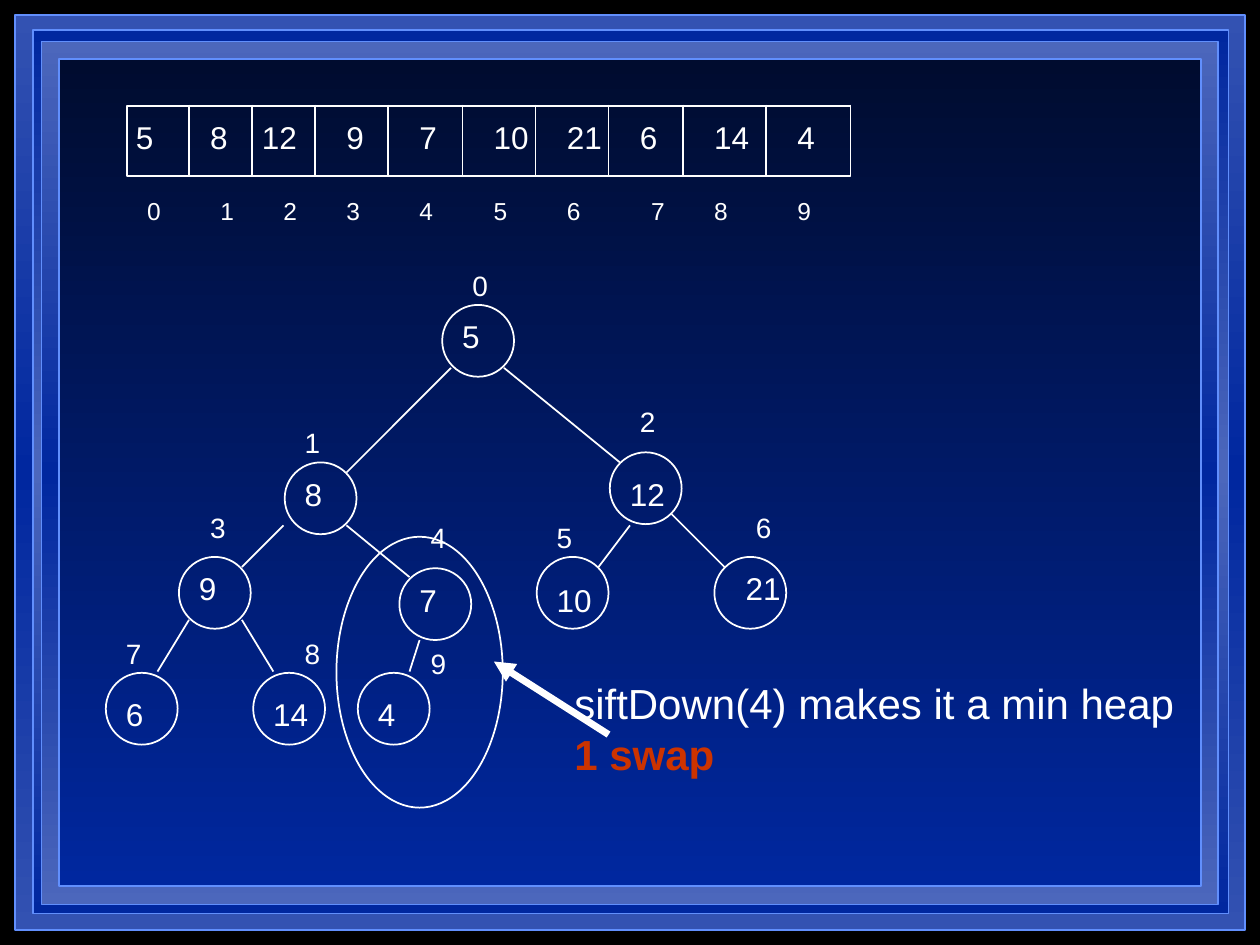
"""Build a slide showing an array, its binary tree, and the first siftDown step."""
from typing import NamedTuple

import pptx
import pptx.dml.color
import pptx.enum.shapes
import pptx.enum.text
import pptx.oxml.ns
import pptx.util
from lxml import etree

Inches = pptx.util.Inches
Pt = pptx.util.Pt
RGBColor = pptx.dml.color.RGBColor
MSO_SHAPE = pptx.enum.shapes.MSO_SHAPE
qn = pptx.oxml.ns.qn

BLACK = RGBColor(0x00, 0x00, 0x00)
WHITE = RGBColor(0xFF, 0xFF, 0xFF)
RED = RGBColor(0xCC, 0x33, 0x00)
NIGHT = RGBColor(0x00, 0x0C, 0x2F)
DEEP = RGBColor(0x00, 0x27, 0x9F)
MEDIUM = RGBColor(0x33, 0x52, 0xB2)
PALE = RGBColor(0x4C, 0x67, 0xBC)
BORDER = RGBColor(0x61, 0x8F, 0xFD)

FONT = "Arial"
DIGIT_EM = 0.556
INSET = 0.1
NODE_SIZE = 0.57
ROW_TOP, ROW_BOTTOM = 0.83, 1.4


class Frame(NamedTuple):
    """A bordered background panel with a vertical gradient."""
    left: float
    top: float
    width: float
    height: float
    colors: tuple[RGBColor, ...]


class Cell(NamedTuple):
    """An array cell: value, value left, index left and right edge."""
    value: str
    value_x: float
    index_x: float
    right: float


class Node(NamedTuple):
    """A tree node: value, circle corner, value offset and index corner."""
    value: str
    x: float
    y: float
    dx: float
    dy: float
    index_x: float
    index_y: float


class Edge(NamedTuple):
    """A straight line between two points."""
    x1: float
    y1: float
    x2: float
    y2: float


FRAMES = (
    Frame(0.12, 0.12, 9.76, 7.26, (MEDIUM, DEEP, MEDIUM)),
    Frame(0.26, 0.24, 9.49, 7.01, (DEEP, PALE, DEEP)),
    Frame(0.33, 0.33, 9.34, 6.85, (PALE, DEEP, PALE)),
    Frame(0.47, 0.47, 9.06, 6.56, (NIGHT, DEEP)),
)
CELLS = (
    Cell("5", 0.98, 1.07, 1.5),
    Cell("8", 1.57, 1.65, 2),
    Cell("12", 1.98, 2.15, 2.5),
    Cell("9", 2.65, 2.65, 3.08),
    Cell("7", 3.23, 3.23, 3.67),
    Cell("10", 3.82, 3.82, 4.25),
    Cell("21", 4.4, 4.4, 4.83),
    Cell("6", 4.98, 5.07, 5.42),
    Cell("14", 5.57, 5.57, 6.08),
    Cell("4", 6.23, 6.23, 6.75),
)
NODES = (
    Node("5", 3.51, 2.42, 0.06, 0.05, 3.65, 2.08),
    Node("8", 2.26, 3.67, 0.06, 0.05, 2.32, 3.33),
    Node("12", 4.84, 3.59, 0.06, 0.13, 4.98, 3.16),
    Node("9", 1.42, 4.42, 0.06, 0.05, 1.57, 4),
    Node("7", 3.17, 4.51, 0.06, 0.05, 3.32, 4.08),
    Node("10", 4.26, 4.42, 0.06, 0.14, 4.32, 4.08),
    Node("21", 5.67, 4.42, 0.15, 0.05, 5.9, 4),
    Node("6", 0.84, 5.34, 0.06, 0.13, 0.9, 5),
    Node("14", 2.01, 5.34, 0.06, 0.13, 2.32, 5),
    Node("4", 2.84, 5.34, 0.06, 0.13, 3.32, 5.08),
)
EDGES = (
    Edge(3.58, 2.92, 2.75, 3.75),
    Edge(4, 2.92, 4.92, 3.67),
    Edge(2.25, 4.17, 1.92, 4.5),
    Edge(2.75, 4.17, 3.25, 4.58),
    Edge(5, 4.17, 4.75, 4.5),
    Edge(5.33, 4.08, 5.75, 4.5),
    Edge(1.5, 4.92, 1.25, 5.33),
    Edge(1.92, 4.92, 2.17, 5.33),
    Edge(3.33, 5.08, 3.25, 5.33),
)


def add_outline(shapes, kind: MSO_SHAPE, left: float, top: float, width: float,
                height: float, color: RGBColor = WHITE):
    """Add an unfilled shape with a thin outline."""
    sp = shapes.add_shape(kind, Inches(left), Inches(top), Inches(width), Inches(height))
    sp.shadow.inherit = False
    sp.fill.background()
    sp.line.color.rgb = color
    sp.line.width = Pt(1)
    return sp


def add_frame(shapes, frame: Frame) -> None:
    """Add a background panel with evenly spaced gradient stops."""
    sp = add_outline(shapes, MSO_SHAPE.RECTANGLE, *frame[:4], color=BORDER)
    sp.fill.gradient()
    sp.fill.gradient_angle = 270
    stops = sp._element.spPr.find(f".//{qn('a:gsLst')}")
    for stop in list(stops):
        stops.remove(stop)
    for i, color in enumerate(frame.colors):
        pos = 100000 * i // (len(frame.colors) - 1)
        gs = etree.SubElement(stops, qn("a:gs"), pos=str(pos))
        etree.SubElement(gs, qn("a:srgbClr"), val=str(color))


def add_line(shapes, edge: Edge, width: float = 1):
    """Add a white straight line."""
    cxn = shapes.add_connector(pptx.enum.shapes.MSO_CONNECTOR.STRAIGHT,
                               *(Inches(v) for v in edge))
    cxn.line.color.rgb = WHITE
    cxn.line.width = Pt(width)
    etree.SubElement(cxn._element.spPr, qn("a:effectLst"))
    return cxn


def add_text(shapes, left: float, top: float, lines: tuple[str, ...], size: int,
             width: float | None = None):
    """Add an unwrapped text box, sized for digits unless a width is given."""
    if width is None:
        width = 2 * INSET + len(lines[0]) * size * DIGIT_EM / 72
    height = INSET + len(lines) * size * 1.2 / 72
    sp = shapes.add_textbox(Inches(left), Inches(top), Inches(width), Inches(height))
    tf = sp.text_frame
    tf.word_wrap = False
    tf.auto_size = pptx.enum.text.MSO_AUTO_SIZE.SHAPE_TO_FIT_TEXT
    tf.text = "\n".join(lines)
    for p in tf.paragraphs:
        p.font.name = FONT
        p.font.size = Pt(size)
        p.font.color.rgb = WHITE
    return sp


def add_array(shapes) -> None:
    """Draw the array row with its values and indices."""
    add_outline(shapes, MSO_SHAPE.RECTANGLE, 1.01, 0.84, 5.74, 0.56)
    for i, cell in enumerate(CELLS):
        add_line(shapes, Edge(cell.right, ROW_TOP, cell.right, ROW_BOTTOM))
        add_text(shapes, cell.value_x, 0.89, (cell.value,), 18)
        add_text(shapes, cell.index_x, 1.51, (str(i),), 14)


def add_tree(shapes) -> None:
    """Draw the binary tree with its values and indices."""
    for edge in EDGES:
        add_line(shapes, edge)
    for i, node in enumerate(NODES):
        add_outline(shapes, MSO_SHAPE.OVAL, node.x, node.y, NODE_SIZE, NODE_SIZE)
        add_text(shapes, node.x + node.dx, node.y + node.dy, (node.value,), 18)
        add_text(shapes, node.index_x, node.index_y, (str(i),), 16)


def main() -> None:
    """Assemble and save the slide."""
    prs = pptx.Presentation()
    prs.slide_width, prs.slide_height = Inches(10), Inches(7.5)
    s = prs.slides.add_slide(prs.slide_layouts[6])
    s.background.fill.solid()
    s.background.fill.fore_color.rgb = BLACK
    frames = s.shapes.add_group_shape().shapes
    for frame in FRAMES:
        add_frame(frames, frame)
    add_array(s.shapes.add_group_shape().shapes)
    add_tree(s.shapes.add_group_shape().shapes)
    arrow = add_line(s.shapes, Edge(3.92, 5.25, 4.83, 5.83), 4)
    etree.SubElement(arrow.line._get_or_add_ln(), qn("a:headEnd"), type="triangle")
    note = add_text(s.shapes, 4.46, 5.33, ("siftDown(4) makes it a min heap", "1 swap"), 24, 4.96)
    p = note.text_frame.paragraphs[1]
    p.font.bold = True
    p.font.color.rgb = RED
    add_outline(s.shapes, MSO_SHAPE.OVAL, 2.67, 4.26, 1.32, 2.15)
    prs.save("out.pptx")


if __name__ == "__main__":
    main()
